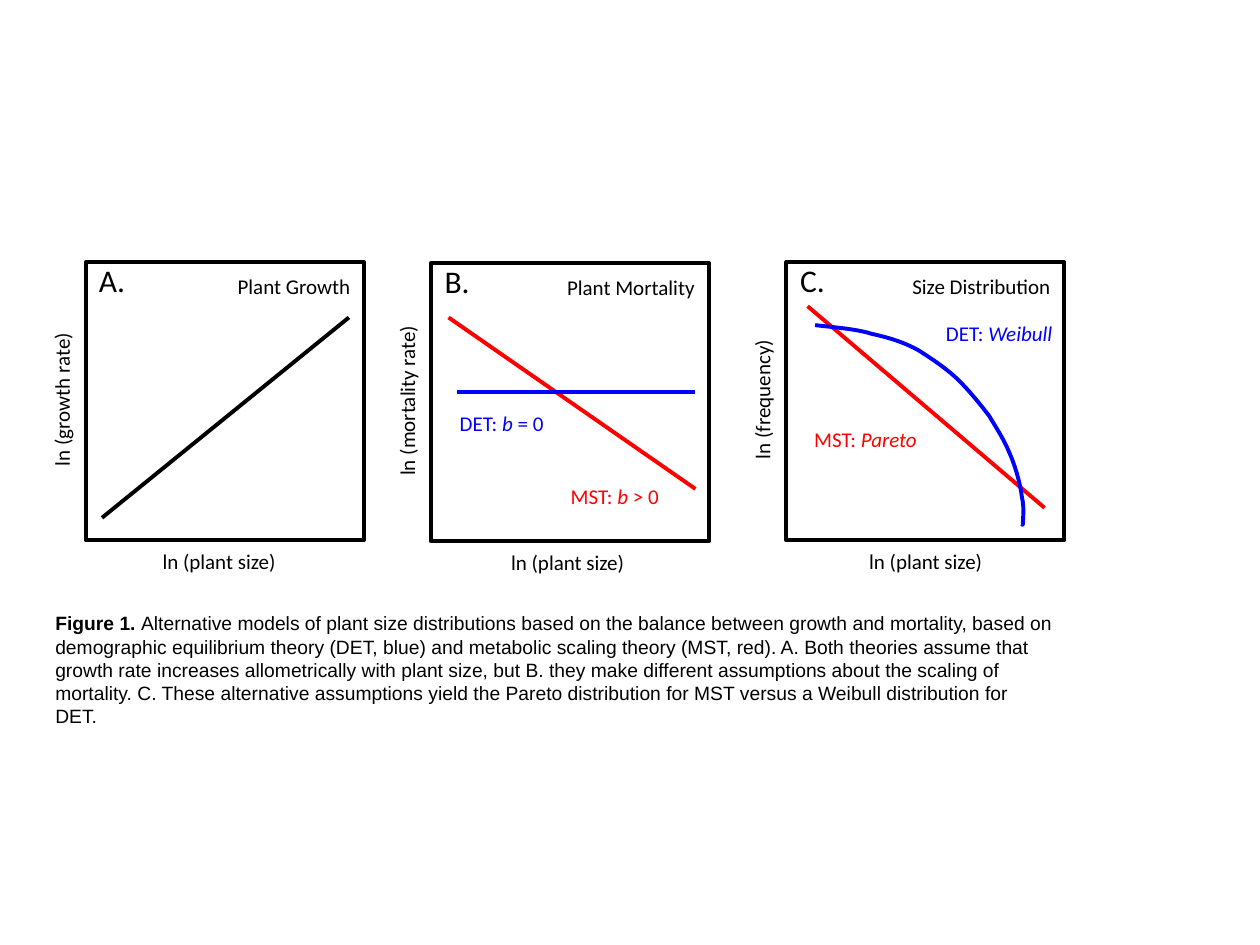
from dataclasses import dataclass

from lxml.etree import SubElement
from pptx import Presentation
from pptx.dml.color import RGBColor
from pptx.enum.shapes import MSO_CONNECTOR, MSO_SHAPE
from pptx.enum.text import MSO_AUTO_SIZE, PP_ALIGN
from pptx.oxml.ns import qn
from pptx.util import Pt


@dataclass(frozen=True)
class Theme:
    ink: RGBColor = RGBColor(0, 0, 0)
    red: RGBColor = RGBColor(255, 0, 0)
    blue: RGBColor = RGBColor(0, 0, 255)
    face: str = "Calibri"
    prose: str = "Arial"
    label: float = 12
    mark: float = 18
    small: float = 11
    stroke: float = 2.25


@dataclass(frozen=True)
class Panel:
    mark: str
    title: str
    wide: float  # width of the title box
    rate: str
    tall: float  # length of the turned label
    left: float
    top: float
    mid: float  # centre of the lower label


THEME = Theme()
SIDE = 159
ROW = 21.8
PANELS = [
    Panel("A.", "Plant Growth", 80, "ln (growth rate)", 92, 49, 149.8, 125.8),
    Panel("B.", "Plant Mortality", 89.3, "ln (mortality rate)", 102, 246.2, 150.3, 325),
    Panel("C.", "Size Distribution", 95, "ln (frequency)", 84, 449.3, 149.8, 529.6),
]
# Start point, then two handles and an end point for each curve piece
CURVE = [
    (465.8, 185.8),
    (477.4, 187.2), (488.9, 187.9), (498.2, 190.8),
    (508.3, 193), (517, 195.8), (524.9, 200.2),
    (532.8, 205.2), (541.4, 211), (547.9, 217.4),
    (554.4, 223.9), (560.2, 231.1), (565.2, 237.6),
    (569.5, 244.8), (573.8, 251.3), (576.7, 258.5),
    (580.3, 266.4), (583.2, 277.2), (583.9, 283.7),
    (585.4, 290.2), (584.6, 295.2), (584.6, 298.1),
    (584.6, 301), (583.9, 299.5), (583.9, 299.5),
]
LEGEND = (
    "Alternative models of plant size distributions based on the balance between "
    "growth and mortality, based on demographic equilibrium theory (DET, blue) and "
    "metabolic scaling theory (MST, red). A. Both theories assume that growth rate "
    "increases allometrically with plant size, but B. they make different assumptions "
    "about the scaling of mortality. C. These alternative assumptions yield the Pareto "
    "distribution for MST versus a Weibull distribution for DET."
)


def add_text(slide, parts, left, top, width, height=ROW, *, size=THEME.label,
             color=THEME.ink, face=THEME.face, align=PP_ALIGN.LEFT, turn=0, wrap=False):
    """Add a text box; parts pair each run's words with "", "b" or "i"."""
    box = slide.shapes.add_textbox(Pt(left), Pt(top), Pt(width), Pt(height))
    box.rotation = turn
    frame = box.text_frame
    frame.word_wrap = wrap
    frame.auto_size = MSO_AUTO_SIZE.SHAPE_TO_FIT_TEXT
    para = frame.paragraphs[0]
    para.alignment = align
    for words, style in parts:
        run = para.add_run()
        run.text = words
        font = run.font
        font.name, font.size = face, Pt(size)
        font.bold, font.italic = style == "b", style == "i"
        font.color.rgb = color


def set_line(shape, color):
    shape.line.color.rgb = color
    shape.line.width = Pt(THEME.stroke)


def add_line(slide, start, end, color):
    ends = [Pt(value) for value in (*start, *end)]
    line = slide.shapes.add_connector(MSO_CONNECTOR.STRAIGHT, *ends)
    set_line(line, color)
    SubElement(line._element.spPr, qn("a:effectLst"))


def add_curve(slide, points, color):
    first, *rest = [(Pt(x), Pt(y)) for x, y in points]
    pen = slide.shapes.build_freeform(*first)
    pen.add_line_segments(rest, close=False)
    shape = pen.convert_to_shape()
    shape.fill.background()
    shape.shadow.inherit = False
    set_line(shape, color)
    # Fold each three straight steps into one cubic piece
    steps = list(shape._element.iter(qn("a:lnTo")))
    route = steps[0].getparent()
    for i in range(0, len(steps), 3):
        cubic = SubElement(route, qn("a:cubicBezTo"))
        for step in steps[i:i + 3]:
            cubic.append(step[0])
            route.remove(step)


def add_panel(slide, panel):
    left, top = panel.left, panel.top
    frame = slide.shapes.add_shape(MSO_SHAPE.RECTANGLE, Pt(left), Pt(top), Pt(SIDE), Pt(SIDE))
    frame.fill.background()
    frame.shadow.inherit = False
    set_line(frame, THEME.ink)
    # Axis labels
    add_text(slide, [(panel.rate, "")], left - 13.7 - panel.tall / 2,
             top + 77.7 - ROW / 2, panel.tall, turn=270)
    add_text(slide, [("ln (plant size)", "")], panel.mid - 40, top + SIDE + 1, 80)
    # Title and letter
    add_text(slide, [(panel.title, "")], left + SIDE - panel.wide, top + 2.8,
             panel.wide, align=PP_ALIGN.CENTER)
    add_text(slide, [(panel.mark, "")], left - 1, top - 4, 32, 29,
             size=THEME.mark, align=PP_ALIGN.CENTER)


def main():
    deck = Presentation()
    deck.slide_width, deck.slide_height = Pt(720), Pt(540)
    slide = deck.slides.add_slide(deck.slide_layouts[6])
    red, blue = THEME.red, THEME.blue

    for panel in PANELS:
        add_panel(slide, panel)

    # Growth
    add_line(slide, (58.3, 295.9), (199.4, 181.4), THEME.ink)

    # Mortality
    add_line(slide, (397.4, 279.4), (256.3, 181.4), red)
    add_line(slide, (397.4, 223.9), (261.4, 223.9), blue)
    add_text(slide, [("MST: ", ""), ("b ", "i"), ("> 0", "")], 319, 272.9, 66.2, color=red)
    add_text(slide, [("DET: ", ""), ("b ", "i"), ("= 0", "")], 255.6, 231.1, 63.4, color=blue)

    # Size distribution
    add_line(slide, (596.9, 290.2), (461.5, 175), red)
    add_curve(slide, CURVE, blue)
    add_text(slide, [("DET: ", ""), ("Weibull", "i")], 533.5, 179.5, 77, color=blue)
    add_text(slide, [("MST: ", ""), ("Pareto", "i")], 458.2, 240, 74.9, color=red)

    # Caption
    add_text(slide, [("Figure 1. ", "b"), (LEGEND, "")], 24.5, 346, 586, 60.5,
             size=THEME.small, face=THEME.prose, wrap=True)

    deck.save("out.pptx")


if __name__ == "__main__":
    main()
